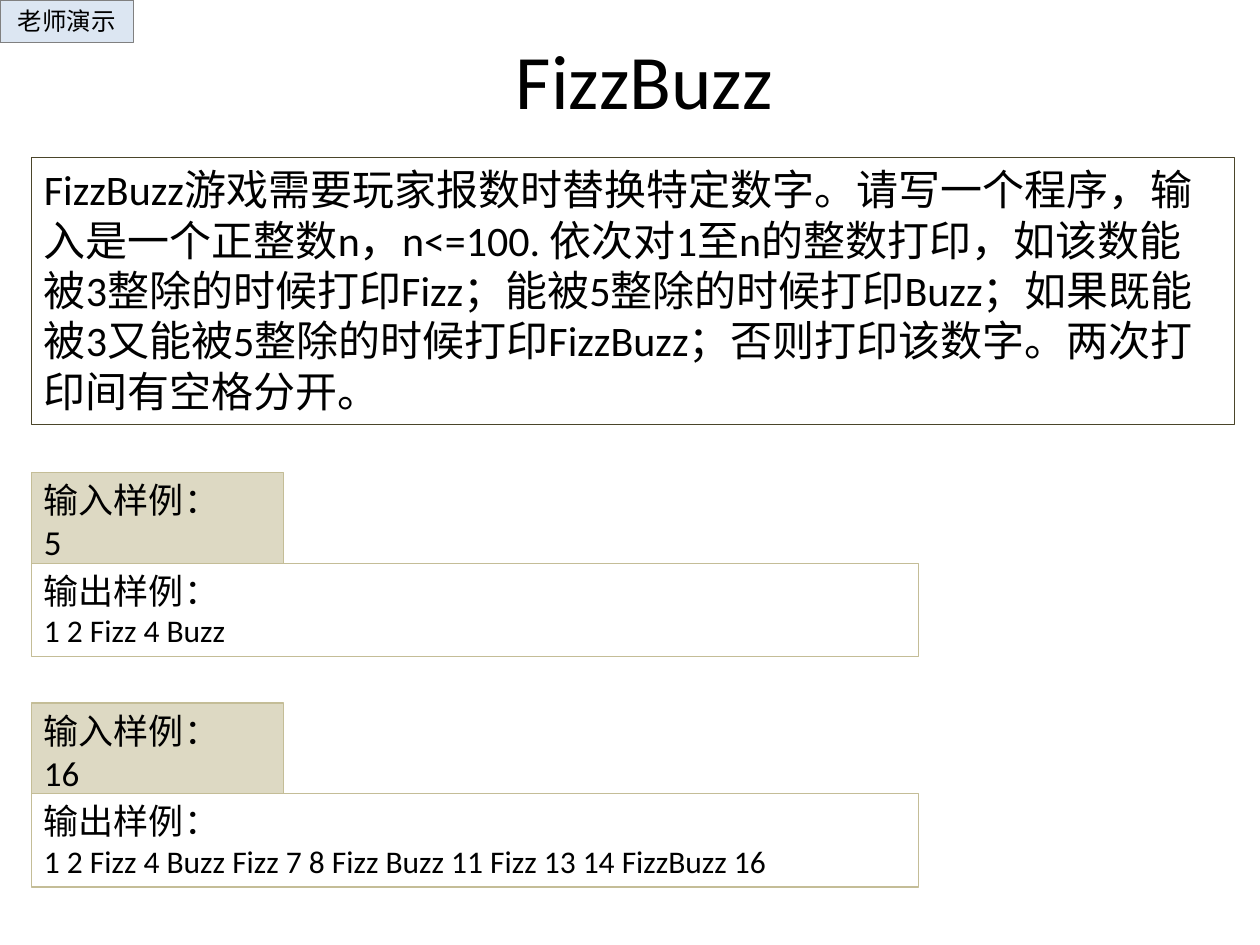
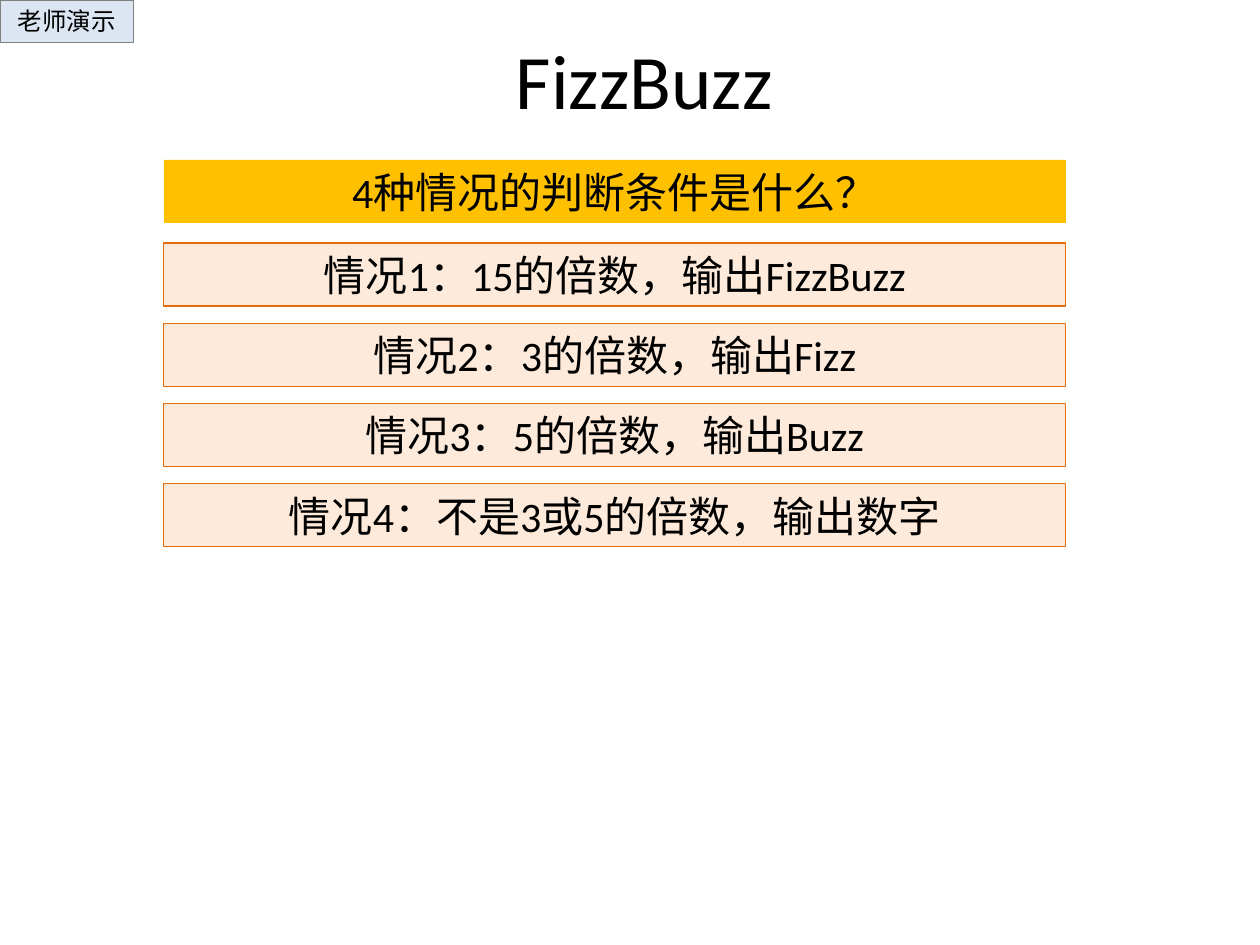
from dataclasses import dataclass
from pptx import Presentation
from pptx.dml.color import RGBColor as Color
from pptx.enum.shapes import MSO_SHAPE as Shape
from pptx.enum.text import MSO_ANCHOR as Anchor, MSO_AUTO_SIZE as AutoSize, PP_ALIGN as Align
from pptx.util import Inches, Pt


@dataclass(frozen=True)
class Theme:
    font: str = "Calibri"
    text: str = "000000"
    white: str = "FFFFFF"
    problem_line: str = "4A452A"
    input_fill: str = "DDD9C3"
    sample_line: str = "C4BD97"
    tag_fill: str = "DCE6F2"
    tag_line: str = "808080"
    question_fill: str = "FFC000"
    case_fill: str = "FDEADA"
    case_line: str = "E46C0A"
    title_size: int = 44
    body_size: int = 24
    label_size: int = 20
    output_size: int = 18
    tag_size: int = 14
    line_width: float = 0.75


THEME = Theme()

PROBLEM = (
    "FizzBuzz游戏需要玩家报数时替换特定数字。请写一个程序，输入是一个正整数n，n<=100. "
    "依次对1至n的整数打印，如该数能被3整除的时候打印Fizz；能被5整除的时候打印Buzz；"
    "如果既能被3又能被5整除的时候打印FizzBuzz；否则打印该数字。两次打印间有空格分开。"
)
SAMPLES = [
    (3.75, "5", "1 2 Fizz 4 Buzz"),
    (5.58, "16", "1 2 Fizz 4 Buzz Fizz 7 8 Fizz Buzz 11 Fizz 13 14 FizzBuzz 16"),
]
CASES = [
    "情况1：15的倍数，输出FizzBuzz",
    "情况2：3的倍数，输出Fizz",
    "情况3：5的倍数，输出Buzz",
    "情况4：不是3或5的倍数，输出数字",
]
LEFT_MARGIN = 0.25
CASE_LEFT, CASE_WIDTH, CASE_HEIGHT = 1.3, 7.16, 0.5
FIRST_CASE_TOP, LAST_CASE_TOP = 1.93, 3.84


def format_paragraph(paragraph, size, align):
    paragraph.alignment = align
    for run in paragraph.runs:
        run.font.name = THEME.font
        run.font.size = Pt(size)
        run.font.color.rgb = Color.from_string(THEME.text)


def add_box(slide, bounds, lines, sizes, fill, line=None, align=Align.LEFT):
    box = slide.shapes.add_shape(Shape.RECTANGLE, *map(Inches, bounds))
    box.shadow.inherit = False
    box.fill.solid()
    box.fill.fore_color.rgb = Color.from_string(fill)
    if line:
        box.line.color.rgb = Color.from_string(line)
        box.line.width = Pt(THEME.line_width)
    else:
        box.line.fill.background()
    text_frame = box.text_frame
    text_frame.text = "\n".join(lines)
    text_frame.word_wrap = True
    text_frame.auto_size = AutoSize.SHAPE_TO_FIT_TEXT
    text_frame.vertical_anchor = Anchor.TOP
    for paragraph, size in zip(text_frame.paragraphs, sizes):
        format_paragraph(paragraph, size, align)


def add_titled_slide(presentation):
    slide = presentation.slides.add_slide(presentation.slide_layouts[5])
    title = slide.shapes.title
    title.left, title.top, title.width, title.height = map(Inches, (0.23, 0, 9.77, 1.25))
    title.text_frame.text = "FizzBuzz"
    title.text_frame.vertical_anchor = Anchor.MIDDLE
    format_paragraph(title.text_frame.paragraphs[0], THEME.title_size, Align.CENTER)
    add_box(slide, (0, 0, 1.06, 0.34), ["老师演示"], [THEME.tag_size],
            THEME.tag_fill, THEME.tag_line, Align.CENTER)
    return slide


def add_sample(slide, top, input_text, output_text):
    add_box(slide, (LEFT_MARGIN, top, 2, 0.77), ["输入样例：", input_text],
            [THEME.label_size, THEME.label_size], THEME.input_fill, THEME.sample_line)
    add_box(slide, (LEFT_MARGIN, top + 0.72, 7.04, 0.74), ["输出样例：", output_text],
            [THEME.label_size, THEME.output_size], THEME.white, THEME.sample_line)


def add_case_bar(slide, top, text, fill, line=None):
    add_box(slide, (CASE_LEFT, top, CASE_WIDTH, CASE_HEIGHT), [text],
            [THEME.body_size], fill, line, Align.CENTER)


def build_problem_slide(presentation):
    slide = add_titled_slide(presentation)
    add_box(slide, (LEFT_MARGIN, 1.25, 9.55, 2.12), [PROBLEM], [THEME.body_size],
            THEME.white, THEME.problem_line)
    for sample in SAMPLES:
        add_sample(slide, *sample)


def build_cases_slide(presentation):
    slide = add_titled_slide(presentation)
    add_case_bar(slide, 1.27, "4种情况的判断条件是什么？", THEME.question_fill)
    pitch = (LAST_CASE_TOP - FIRST_CASE_TOP) / (len(CASES) - 1)
    for index, case in enumerate(CASES):
        add_case_bar(slide, FIRST_CASE_TOP + index * pitch, case,
                     THEME.case_fill, THEME.case_line)


def main():
    presentation = Presentation()
    presentation.slide_width = Inches(10)
    presentation.slide_height = Inches(7.5)
    build_problem_slide(presentation)
    build_cases_slide(presentation)
    presentation.save("out.pptx")


if __name__ == "__main__":
    main()
